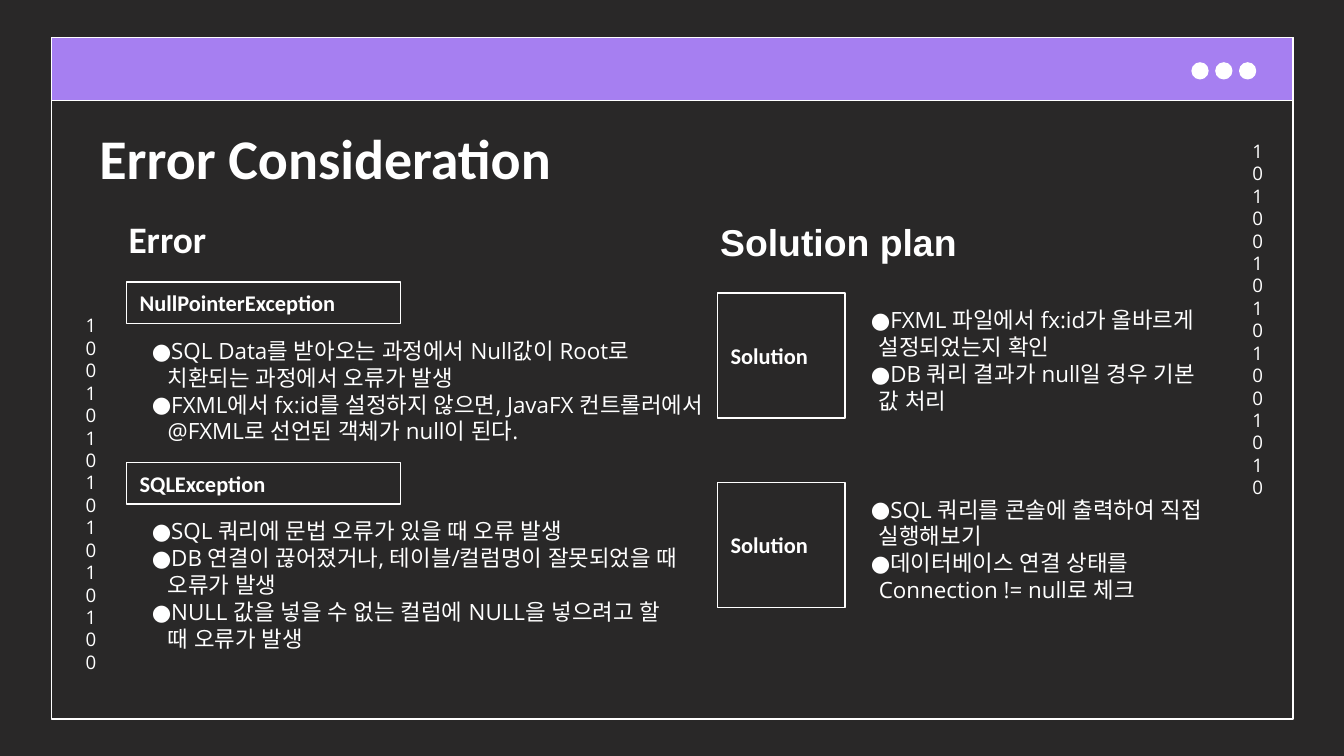
from dataclasses import dataclass

from lxml.etree import SubElement
from pptx import Presentation
from pptx.dml.color import RGBColor
from pptx.enum.shapes import MSO_SHAPE
from pptx.enum.text import MSO_ANCHOR, PP_ALIGN
from pptx.oxml.ns import qn
from pptx.util import Cm, Pt


@dataclass(frozen=True)
class Theme:
    background: RGBColor = RGBColor(0x29, 0x28, 0x28)
    accent: RGBColor = RGBColor(0xA6, 0x7F, 0xF1)
    light: RGBColor = RGBColor(0xFF, 0xFF, 0xFF)
    heading_font: str = "Calibri"
    plan_font: str = "Arial"
    body_font: str = "Open Sans"
    title_size: int = 30
    heading_size: int = 20
    body_size: int = 12
    digit_size: int = 10
    line_width: float = 0.75


THEME = Theme()

ERRORS = [
    ("NullPointerException", 5.33, 11.18, 1.35, [
        "SQL Data를 받아오는 과정에서 Null값이 Root로 치환되는 과정에서 오류가 발생",
        "FXML에서 fx:id를 설정하지 않으면, JavaFX 컨트롤러에서 @FXML로 선언된 객체가 null이 된다.",
    ]),
    ("SQLException", 8.74, 10.8, 3.4, [
        "SQL 쿼리에 문법 오류가 있을 때 오류 발생",
        "DB 연결이 끊어졌거나, 테이블/컬럼명이 잘못되었을 때 오류가 발생",
        "NULL 값을 넣을 수 없는 컬럼에 NULL을 넣으려고 할 때 오류가 발생",
    ]),
]

SOLUTIONS = [
    (5.54, [
        "FXML 파일에서 fx:id가 올바르게 설정되었는지 확인",
        "DB 쿼리 결과가 null일 경우 기본 값 처리",
    ]),
    (9.12, [
        "SQL 쿼리를 콘솔에 출력하여 직접 실행해보기",
        "데이터베이스 연결 상태를 Connection != null로 체크",
    ]),
]


def write_text(shape, text, size, font, bold=False, align=PP_ALIGN.LEFT,
               anchor=MSO_ANCHOR.TOP, left_inset=0.25):
    text_frame = shape.text_frame
    text_frame.word_wrap = True
    text_frame.vertical_anchor = anchor
    text_frame.margin_left = Cm(left_inset)
    text_frame.margin_top = text_frame.margin_right = text_frame.margin_bottom = Cm(0.25)
    text_frame.text = text
    for paragraph in text_frame.paragraphs:
        paragraph.alignment = align
        for run in paragraph.runs:
            run.font.size = Pt(size)
            run.font.name = font
            run.font.bold = bold
            run.font.color.rgb = THEME.light
            SubElement(run.font._element, qn("a:ea"), typeface=font)


def add_text(slide, box, text, size, font, **options):
    shape = slide.shapes.add_textbox(*map(Cm, box))
    write_text(shape, text, size, font, **options)
    return shape


def add_outlined(slide, kind, box, fill=None):
    shape = slide.shapes.add_shape(kind, *map(Cm, box))
    shape.shadow.inherit = False
    if fill is None:
        shape.fill.background()
    else:
        shape.fill.solid()
        shape.fill.fore_color.rgb = fill
    shape.line.color.rgb = THEME.light
    shape.line.width = Pt(THEME.line_width)
    return shape


def add_label(slide, box, text):
    shape = add_outlined(slide, MSO_SHAPE.RECTANGLE, box)
    write_text(shape, text, THEME.body_size, THEME.heading_font, bold=True,
               anchor=MSO_ANCHOR.MIDDLE)


def add_bullets(slide, box, items, indent):
    shape = add_text(slide, box, "\n".join(items), THEME.body_size,
                     THEME.body_font, left_inset=0.48)
    for paragraph in shape.text_frame.paragraphs:
        properties = paragraph._p.get_or_add_pPr()
        properties.set("marL", str(Cm(indent)))
        properties.set("indent", str(Cm(-0.38)))
        color = SubElement(properties, qn("a:buClr"))
        SubElement(color, qn("a:srgbClr"), val=str(THEME.light))
        SubElement(properties, qn("a:buFont"), typeface=THEME.body_font)
        SubElement(properties, qn("a:buChar"), char="●")


def add_window(slide):
    add_outlined(slide, MSO_SHAPE.RECTANGLE, (0.97, 0.71, 23.47, 12.88))
    add_outlined(slide, MSO_SHAPE.RECTANGLE, (0.97, 0.71, 23.47, 1.19), THEME.accent)
    for index in range(3):
        add_outlined(slide, MSO_SHAPE.OVAL,
                     (22.53 + 0.45 * index, 1.19, 0.3, 0.3), THEME.light)


def add_digits(slide, left, top, digits):
    add_text(slide, (left, top, 0.61, 7.11), digits, THEME.digit_size,
             THEME.body_font, align=PP_ALIGN.CENTER)


def add_heading(slide, box, text, font):
    add_text(slide, box, text, THEME.heading_size, font, bold=True,
             anchor=MSO_ANCHOR.MIDDLE)


def main():
    presentation = Presentation()
    presentation.slide_width = Cm(25.4)
    presentation.slide_height = Cm(14.29)
    slide = presentation.slides.add_slide(presentation.slide_layouts[6])
    slide.background.fill.solid()
    slide.background.fill.fore_color.rgb = THEME.background

    add_window(slide)
    add_digits(slide, 23.42, 2.39, "1010010101001010")
    add_digits(slide, 1.37, 5.69, "1001010101010100")
    add_text(slide, (1.63, 2.08, 12.17, 1.35), "Error Consideration",
             THEME.title_size, THEME.heading_font, bold=True)
    add_heading(slide, (2.18, 3.94, 3.53, 1.14), "Error", THEME.heading_font)
    add_heading(slide, (13.36, 3.99, 9.45, 1.14), "Solution plan", THEME.plan_font)

    for name, top, width, height, causes in ERRORS:
        add_label(slide, (2.39, top, 5.18, 0.79), name)
        add_bullets(slide, (2.39, top + 0.79, width, height), causes, 0.3)
    for top, steps in SOLUTIONS:
        add_label(slide, (13.56, top, 2.41, 2.36), "Solution")
        add_bullets(slide, (15.98, top, 7.04, 1.85), steps, 0.15)

    presentation.save("out.pptx")


if __name__ == "__main__":
    main()
